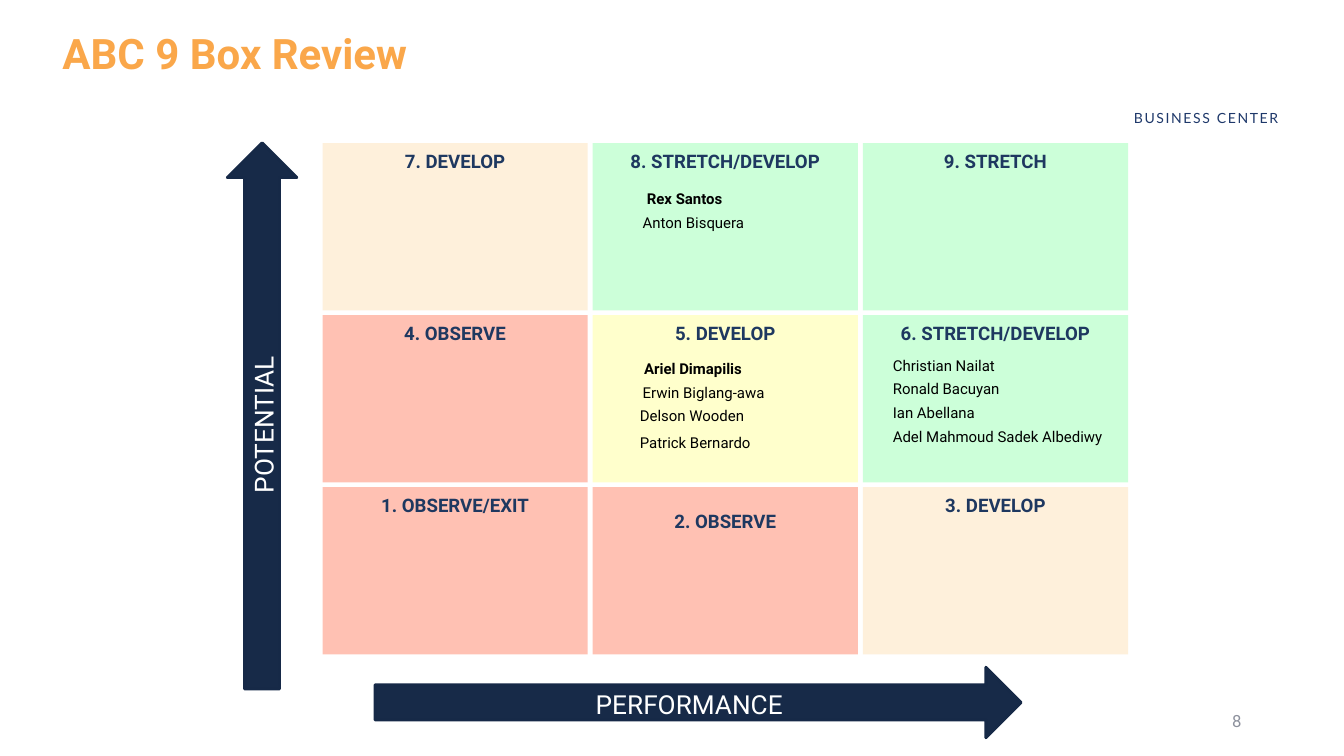
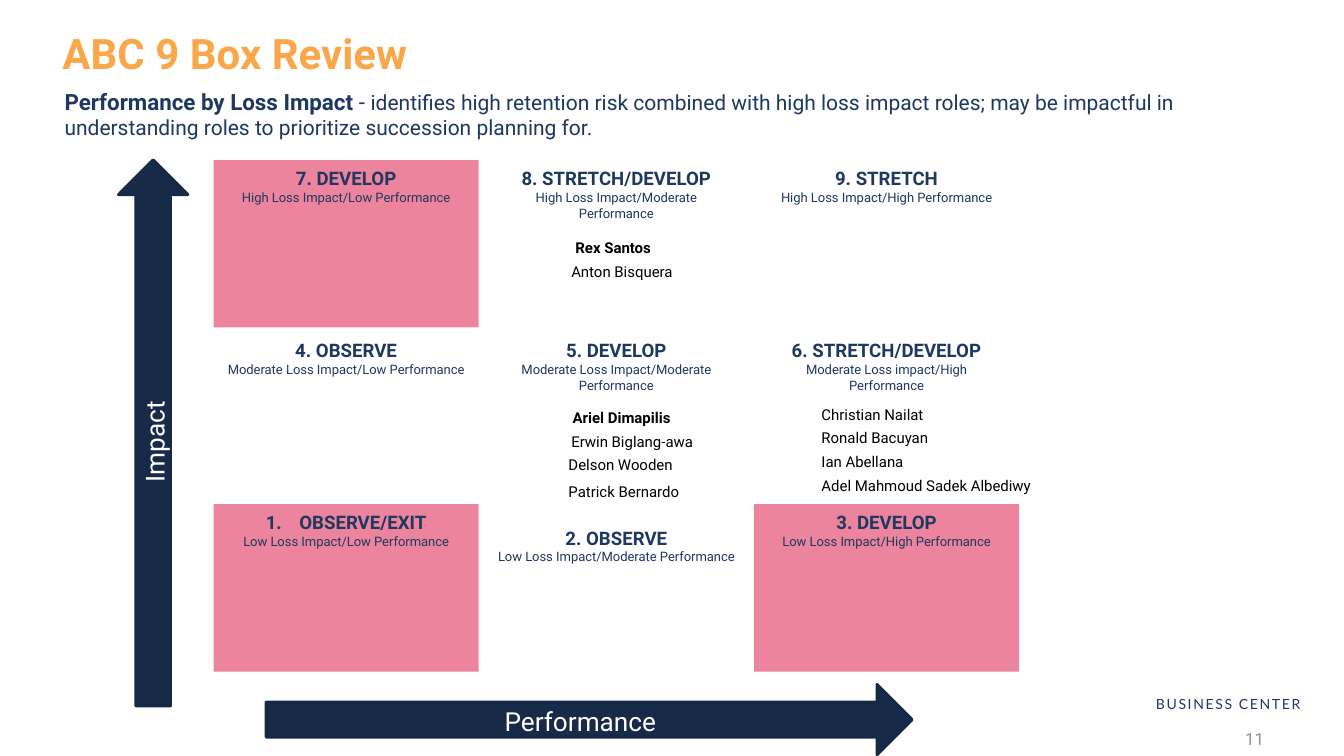
from dataclasses import dataclass

from lxml.etree import SubElement
from pptx import Presentation
from pptx.dml.color import RGBColor
from pptx.enum.shapes import MSO_SHAPE as Shape
from pptx.enum.text import MSO_ANCHOR as Anchor, MSO_AUTO_SIZE as Fit, PP_ALIGN as Align
from pptx.oxml.ns import qn
from pptx.util import Pt


@dataclass(frozen=True)
class Theme:
    font: str = "Roboto"
    tag_font: str = "Lato"
    title: str = "FAA74A"
    ink: str = "1E3860"
    tag: str = "1E386A"
    name: str = "000000"
    page: str = "8D919D"
    arrow: str = "172A48"
    edge: str = "162947"
    white: str = "FFFFFF"
    mint: str = "CCFFD9"
    cream: str = "FEF0DB"
    lemon: str = "FFFFCC"
    coral: str = "FFC1B3"
    pink: str = "EC849D"
    title_pt: float = 30
    arrow_pt: float = 18.7
    lead_pt: float = 16
    text_pt: float = 15
    head_pt: float = 13.3
    page_pt: float = 12
    name_pt: float = 10.7
    tag_pt: float = 10
    sub_pt: float = 9.3


THEME = Theme()
BOX_W, BOX_H = 189.4, 119.5
STEP_X, STEP_Y = 193, 122.9
DROP = 11  # extra top inset of box 2

HEADS = {
    7: "DEVELOP", 8: "STRETCH/DEVELOP", 9: "STRETCH",
    4: "OBSERVE", 5: "DEVELOP", 6: "STRETCH/DEVELOP",
    1: "OBSERVE/EXIT", 2: "OBSERVE", 3: "DEVELOP",
}
SUBS = {
    7: "High Loss Impact/Low Performance",
    8: "High Loss Impact/Moderate Performance",
    9: "High Loss Impact/High Performance",
    4: "Moderate Loss Impact/Low Performance",
    5: "Moderate Loss Impact/Moderate Performance",
    6: "Moderate Loss impact/High Performance",
    1: "Low Loss Impact/Low Performance",
    2: "Low Loss Impact/Moderate Performance",
    3: "Low Loss Impact/High Performance",
}
# Box: offset in the box, lead in bold, then (name, indent, space before)
NAMES = {
    8: (28.6, 29.8, True, [("Rex Santos", 3, 0), ("Anton Bisquera", 0, 4)]),
    5: (26.6, 28.4, True, [("Ariel Dimapilis", 3, 0), ("Erwin Biglang-awa", 2, 4),
                           ("Delson Wooden", 0, 4), ("Patrick Bernardo", 0, 6)]),
    6: (14.3, 26, False, [("Christian Nailat", 0, 0), ("Ronald Bacuyan", 0, 4),
                          ("Ian Abellana", 0, 4),
                          ("Adel Mahmoud Sadek Albediwy", 0, 4)]),
}


class Deck:
    """Holds the theme, the current slide and the corner of its grid."""

    def __init__(self, theme):
        self.theme = theme
        self.prs = Presentation()
        self.prs.slide_width, self.prs.slide_height = Pt(960), Pt(540)

    def start(self, layout, left, top):
        self.slide = self.prs.slides.add_slide(self.prs.slide_layouts[layout])
        self.left, self.top = left, top

    def style(self, para, size, color, bold=False, font=None):
        for run in para.runs:
            run.font.name = font or self.theme.font
            run.font.size = Pt(size)
            run.font.bold = bold
            run.font.color.rgb = RGBColor.from_string(color)

    def place(self, shape, x, y, w, h):
        """Move a placeholder and clear its inherited text layout."""
        shape.left, shape.top, shape.width, shape.height = map(Pt, (x, y, w, h))
        frame = shape.text_frame
        frame.word_wrap, frame.auto_size = True, Fit.NONE
        frame.vertical_anchor = Anchor.TOP
        para = frame.paragraphs[0]
        para.alignment, para.space_before = Align.LEFT, Pt(0)
        return para

    def title(self, text):
        para = self.place(self.slide.shapes.title, 37.4, 15.8, 834.5, 44)
        para.text = text
        self.style(para, self.theme.title_pt, self.theme.title, True)

    def lead(self, parts):
        """Fill the body with (text, size, bold) parts on one unbulleted line."""
        para = self.place(self.slide.placeholders[1], 38.9, 59, 903, 33)
        props = para._p.get_or_add_pPr()
        props.set("marL", "0")
        props.set("indent", "0")
        SubElement(props, qn("a:buNone"))
        for text, _, _ in parts:
            para.add_run().text = text
        self.style(para, self.theme.lead_pt, self.theme.ink)
        for run, (_, size, bold) in zip(para.runs, parts):
            run.font.size, run.font.bold = Pt(size), bold

    def text(self, x, y, w, h, text):
        box = self.slide.shapes.add_textbox(Pt(x), Pt(y), Pt(w), Pt(h))
        box.text_frame.word_wrap = True
        box.text_frame.text = text
        return box.text_frame

    def tag(self, x, y):
        para = self.text(x, y, 140, 15, "BUSINESS CENTER").paragraphs[0]
        self.style(para, self.theme.tag_pt, self.theme.tag, font=self.theme.tag_font)
        para.runs[0]._r.get_or_add_rPr().set("spc", "120")

    def page(self, x, y, number):
        frame = self.text(x, y, 216, 28.8, str(number))
        frame.vertical_anchor = Anchor.MIDDLE
        para = frame.paragraphs[0]
        para.alignment = Align.RIGHT
        self.style(para, self.theme.page_pt, self.theme.page)

    def shape(self, kind, x, y, w, h, fill, text):
        shape = self.slide.shapes.add_shape(kind, Pt(x), Pt(y), Pt(w), Pt(h))
        shape.shadow.inherit = False
        if fill:
            shape.fill.solid()
            shape.fill.fore_color.rgb = RGBColor.from_string(fill)
        else:
            shape.fill.background()
        shape.line.fill.background()
        frame = shape.text_frame
        frame.word_wrap = True
        frame.margin_left = frame.margin_right = Pt(9.4)
        frame.margin_top = frame.margin_bottom = Pt(5)
        frame.text = text
        for para in frame.paragraphs:
            para.alignment = Align.CENTER
        return shape

    def arrow(self, dx, dy, w, h, text, turn=0):
        shape = self.shape(Shape.RIGHT_ARROW, self.left + dx, self.top + dy, w, h,
                           self.theme.arrow, text)
        shape.rotation = turn
        shape.line.color.rgb = RGBColor.from_string(self.theme.edge)
        shape.line.width = Pt(2)
        shape.text_frame.vertical_anchor = Anchor.MIDDLE
        para = shape.text_frame.paragraphs[0]
        para.line_spacing, para.space_after = 1.07, Pt(10.7)
        self.style(para, self.theme.arrow_pt, self.theme.white)

    def axes(self, across, up):
        self.arrow(37.5, 374.4, 461.5, 50.4, across)
        self.arrow(-238.3, 170, 390.2, 49.7, up, 270)

    def spot(self, num):
        """Corner of a box, counted from the bottom left."""
        row, col = divmod(num - 1, 3)
        return self.left + col * STEP_X, self.top + (2 - row) * STEP_Y

    def cell(self, num, fill, sub=None, auto=False):
        head = HEADS[num] if auto else f"{num}. {HEADS[num]}"
        text = f"{head}\n{sub}" if sub else head
        frame = self.shape(Shape.RECTANGLE, *self.spot(num), BOX_W, BOX_H,
                           fill, text).text_frame
        frame.vertical_anchor = Anchor.TOP
        if num == 2:
            frame.margin_top += Pt(DROP)
        first, *rest = frame.paragraphs
        if auto:
            props = first._p.get_or_add_pPr()
            props.set("marL", str(Pt(24)))
            props.set("indent", str(-Pt(24)))
            SubElement(props, qn("a:buFont"), typeface=self.theme.font)
            SubElement(props, qn("a:buAutoNum"), type="arabicPeriod")
        self.style(first, self.theme.head_pt, self.theme.ink, True)
        for para in rest:
            self.style(para, self.theme.sub_pt, self.theme.ink)

    def names(self, dx=0, dy=0):
        for num, (x, y, lead, rows) in NAMES.items():
            left, top = self.spot(num)
            frame = self.text(left + x + dx, top + y + dy, 172, 20 * len(rows),
                              "\n".join(row[0] for row in rows))
            for i, (para, (_, dent, gap)) in enumerate(zip(frame.paragraphs, rows)):
                para._p.get_or_add_pPr().set("marL", str(Pt(dent)))
                para.space_before = Pt(gap)
                self.style(para, self.theme.name_pt, self.theme.name, lead and i == 0)


def main():
    deck = Deck(THEME)
    title = "ABC 9 Box Review"

    deck.start(5, 230.4, 102.2)
    deck.title(title)
    deck.axes("PERFORMANCE", "POTENTIAL")
    fills = {7: THEME.cream, 8: THEME.mint, 9: THEME.mint,
             4: THEME.coral, 5: THEME.lemon, 6: THEME.mint,
             1: THEME.coral, 2: THEME.coral, 3: THEME.cream}
    for num, fill in fills.items():
        deck.cell(num, fill)
    deck.names()
    deck.tag(802.8, 74.9)
    deck.page(678, 500.4, 8)

    deck.start(1, 152.6, 114.4)
    deck.title(title)
    deck.lead([
        ("Performance by Loss Impact ", THEME.lead_pt, True),
        ("- ", THEME.lead_pt, False),
        ("identifies high retention risk combined with high loss impact roles; "
         "may be impactful in understanding roles to prioritize succession "
         "planning for.", THEME.text_pt, False),
    ])
    deck.axes("Performance", "Impact")
    for num, sub in SUBS.items():
        deck.cell(num, THEME.pink if num in (1, 3, 7) else None, sub, num == 1)
    deck.names(26.8, 22.8)
    deck.tag(818.6, 493.2)
    deck.page(694, 513.4, 11)

    deck.prs.save("out.pptx")


if __name__ == "__main__":
    main()
